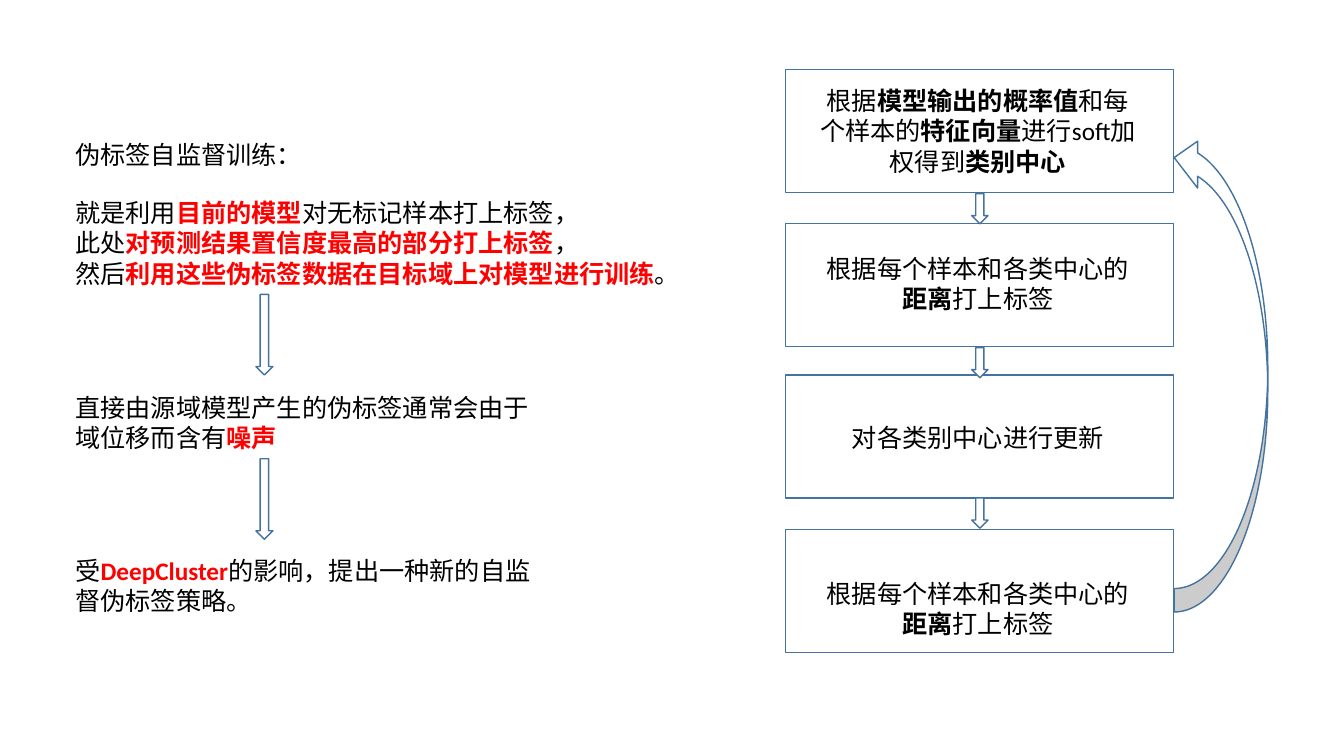
from dataclasses import dataclass

from pptx import Presentation
from pptx.dml.color import RGBColor
from pptx.enum.shapes import MSO_SHAPE
from pptx.enum.text import PP_ALIGN
from pptx.util import Cm, Pt

RECT = MSO_SHAPE.RECTANGLE
DOWN = MSO_SHAPE.DOWN_ARROW
LOOP = MSO_SHAPE.CURVED_RIGHT_ARROW
LEFT, CENTER = PP_ALIGN.LEFT, PP_ALIGN.CENTER


@dataclass(frozen=True)
class Theme:
    font: str = "Calibri"
    size: Pt = Pt(18)
    line_width: Pt = Pt(1)
    white: RGBColor = RGBColor(0xFF, 0xFF, 0xFF)
    black: RGBColor = RGBColor(0, 0, 0)
    red: RGBColor = RGBColor(0xFF, 0, 0)
    outline: RGBColor = RGBColor(0x43, 0x73, 0x9E)


THEME = Theme()
DISTANCE_STEP = "根据每个样本和各类中心的*距离*打上标签"

NOTES = [
    (3.38, 5.84, 1.02, ["伪标签自监督训练："]),
    (4.85, 15.5, 2.56, [
        "就是利用*目前的模型*对无标记样本打上标签，",
        "此处*对预测结果置信度最高的部分打上标签*，",
        "然后*利用这些伪标签数据在目标域上对模型进行训练*。",
    ]),
    (9.75, 12.3, 1.8, ["直接由源域模型产生的伪标签通常会由于域位移而含有*噪声*"]),
    (13.87, 12.3, 1.8, ["受*DeepCluster*的影响，提出一种新的自监督伪标签策略。"]),
]
STEPS = [
    (1.75, 2.03, 2.56, "根据*模型输出的概率值*和每个样本的*特征向量*进行soft加权得到*类别中心*"),
    (5.64, 6.25, 1.8, DISTANCE_STEP),
    (9.45, 10.52, 1.02, "对各类别中心进行更新"),
    (13.34, 14.45, 1.8, DISTANCE_STEP),
]


def write_paragraph(p, text, align, accent):
    p.alignment = align
    p.font.name, p.font.size = THEME.font, THEME.size
    for i, part in enumerate(text.split("*")):
        if part:
            r = p.add_run()
            r.text = part
            r.font.bold = i % 2 == 1
            r.font.color.rgb = accent if i % 2 else THEME.black


def add_text(shapes, x, y, w, h, lines, align, accent):
    tf = shapes.add_textbox(Cm(x), Cm(y), Cm(w), Cm(h)).text_frame
    tf.word_wrap = True
    for i, line in enumerate(lines):
        p = tf.add_paragraph() if i else tf.paragraphs[0]
        write_paragraph(p, line, align, accent)


def add_outlined(shapes, kind, x, y, w, h):
    sp = shapes.add_shape(kind, Cm(x), Cm(y), Cm(w), Cm(h))
    sp.shadow.inherit = False
    sp.fill.solid()
    sp.fill.fore_color.rgb = THEME.white
    sp.line.color.rgb = THEME.outline
    sp.line.width = THEME.line_width
    return sp


def add_notes(shapes):
    for y, w, h, lines in NOTES:
        add_text(shapes, 1.65, y, w, h, lines, LEFT, THEME.red)
    for y in (7.42, 11.56):
        add_outlined(shapes, DOWN, 6.45, y, 0.43, 2.03)


def add_flow(shapes):
    for box_y, *_ in STEPS:
        add_outlined(shapes, RECT, 19.79, box_y, 9.78, 3.1)
    for _, text_y, h, text in STEPS:
        add_text(shapes, 20.35, text_y, 8.59, h, [text], CENTER, THEME.black)
    for y in (4.88, 8.76, 12.55):
        add_outlined(shapes, DOWN, 24.49, y, 0.41, 0.76)
    add_outlined(shapes, LOOP, 29.59, 3.38, 2.36, 12.04).rotation = 180


def main():
    prs = Presentation()
    prs.slide_width, prs.slide_height = Cm(33.87), Cm(19.05)
    s = prs.slides.add_slide(prs.slide_layouts[6])
    add_notes(s.shapes.add_group_shape().shapes)
    add_flow(s.shapes.add_group_shape().shapes)
    prs.save("out.pptx")


if __name__ == "__main__":
    main()
